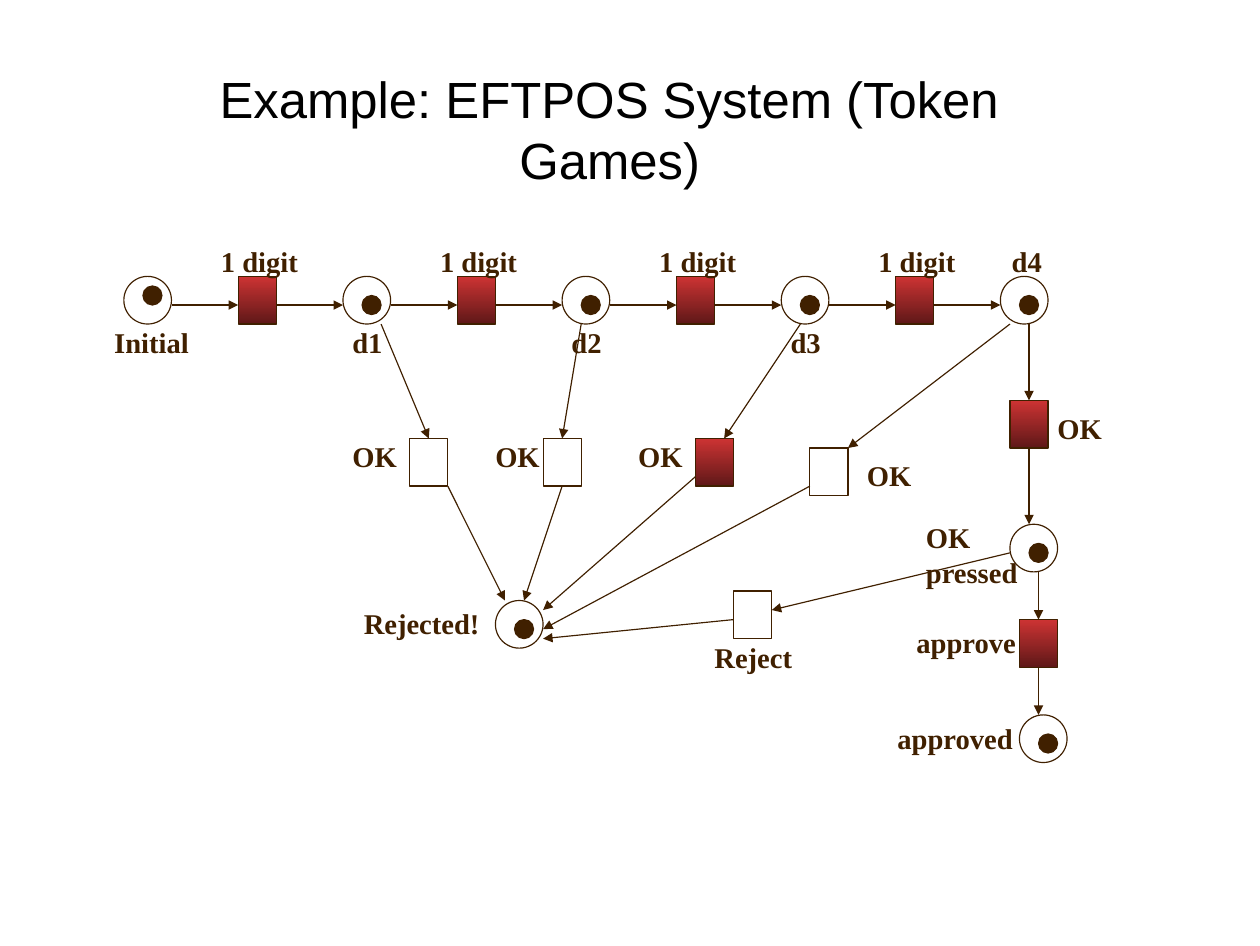
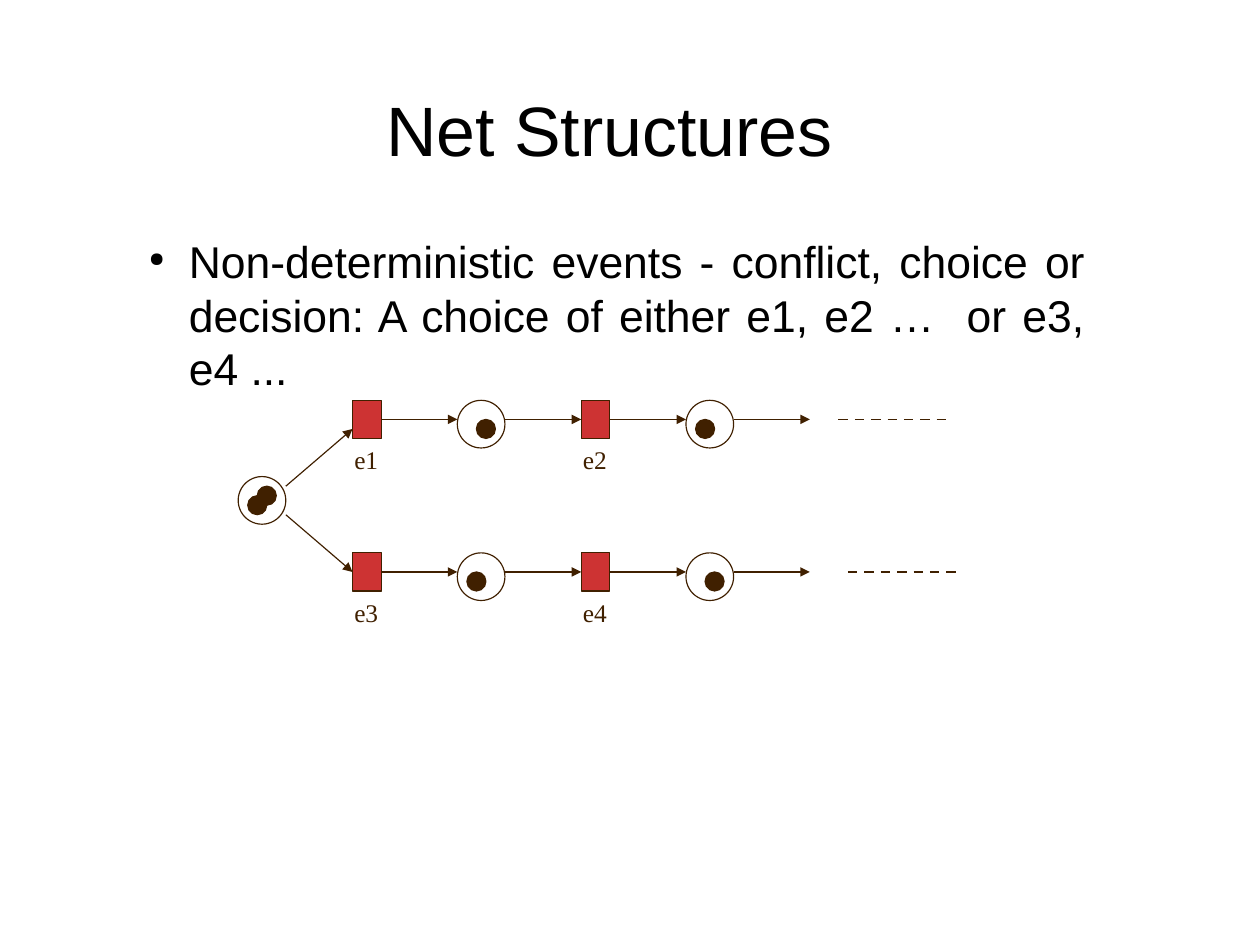
"""Build two slides about Petri nets: an EFTPOS token game and a net with a choice."""
from dataclasses import dataclass, field

from lxml.etree import SubElement
from pptx import Presentation
from pptx.dml.color import RGBColor
from pptx.enum.shapes import MSO_CONNECTOR, MSO_SHAPE
from pptx.enum.text import MSO_ANCHOR, MSO_AUTO_SIZE, PP_ALIGN
from pptx.oxml.ns import qn
from pptx.util import Inches, Pt


@dataclass(frozen=True)
class Theme:
    ink: RGBColor = RGBColor.from_string("402000")
    text: RGBColor = RGBColor.from_string("000000")
    red: RGBColor = RGBColor.from_string("CD3333")
    dark_red: RGBColor = RGBColor.from_string("5F1818")
    heading_font: str = "Arial"
    label_font: str = "Times New Roman"
    body_size: int = 28
    line: float = 0.75
    cell: int = Inches(1) // 12
    place: int = 5
    token: int = 2


@dataclass
class Net:
    title: str
    title_size: int
    box_size: tuple
    label_size: int
    label_bold: bool
    label_height: float
    label_widths: dict
    gradient: bool
    red_boxes: list
    empty_boxes: list
    places: list
    arrows: list
    labels: list
    dashes: list = field(default_factory=list)
    body: str = ""


theme = Theme()
step = 23
digits = range(4)
centred = (2, 2)
left_token = (1, 2)

eftpos = Net(
    title="Example: EFTPOS System (Token Games)",
    title_size=32,
    box_size=(4, 5),
    label_size=18,
    label_bold=True,
    label_height=4.8,
    label_widths={
        "Initial": 10.2, "1 digit": 10.4, "d1": 5.5, "d2": 5.5, "d3": 5.5,
        "d4": 5.5, "OK": 7.1, "OK\npressed": 12, "approve": 12.8,
        "approved": 14.5, "Reject": 10.5, "Rejected!": 14.5,
    },
    gradient=True,
    red_boxes=[(25 + step * i, 29) for i in digits]
    + [(73, 46), (106, 42), (107, 65)],
    empty_boxes=[(43, 46), (57, 46), (85, 47), (77, 62)],
    places=[(13, 29, [(2, 1)])]
    + [(36 + step * i, 29, [centred]) for i in digits]
    + [(106, 55, [centred]), (107, 75, [centred]), (52, 63, [centred])],
    arrows=[
        (start + step * i, 32, start + step * i + 7, 32)
        for i in digits for start in (18, 29)
    ] + [
        (108, 34, 108, 42), (108, 47, 108, 55),
        (109, 60, 109, 65), (109, 70, 109, 75),
        (40, 34, 45, 46), (47, 51, 53, 63),
        (61, 34, 59, 46), (59, 51, 55, 63),
        (84, 34, 76, 46), (73, 50, 57, 64),
        (106, 34, 89, 47), (85, 51, 57, 66),
        (106, 58, 81, 64), (77, 65, 57, 67),
    ],
    labels=[("1 digit", 22 + step * i, 25) for i in digits]
    + [(f"d{i + 1}", 35.8 + step * i, 33.5) for i in range(3)]
    + [("OK", 35.8 + 15 * i, 45.5) for i in range(3)]
    + [
        ("Initial", 10.8, 33.5), ("d4", 105, 25), ("OK", 109.8, 42.5),
        ("OK", 89.8, 47.5), ("OK\npressed", 96, 54), ("approve", 95, 65),
        ("approved", 93, 75), ("Reject", 73.8, 66.5), ("Rejected!", 37, 63),
    ],
)

choice = Net(
    title="Net Structures",
    title_size=44,
    box_size=(3, 4),
    label_size=16,
    label_bold=False,
    label_height=4.4,
    label_widths={f"e{i}": 4.9 for i in range(1, 5)},
    gradient=False,
    red_boxes=[(column, row) for row in (42, 58) for column in (37, 61)],
    empty_boxes=[],
    places=[
        (25, 50, [left_token, (2, 1)]),
        (48, 42, [centred]), (72, 42, [left_token]),
        (48, 58, [left_token]), (72, 58, [centred]),
    ],
    arrows=[(30, 51, 37, 45), (30, 54, 37, 60)] + [
        (start, row, start + 8, row)
        for row in (44, 60) for start in (40, 53, 64, 77)
    ],
    labels=[
        (f"e{1 + i + 2 * j}", 36 + 24 * i, 46 + 16 * j)
        for j in range(2) for i in range(2)
    ],
    dashes=[(88, 44, 100, 44), (89, 60, 101, 60)],
    body="Non-deterministic events - conflict, choice or decision: "
    "A choice of either e1, e2 …  or e3, e4 ...",
)


def add_text(slide, text, box, size, font, color, bold=False, wrap=True):
    """Add a text box on the grid, one paragraph a line, and return its frame."""
    frame = slide.shapes.add_textbox(*(round(v * theme.cell) for v in box)).text_frame
    frame.auto_size = MSO_AUTO_SIZE.NONE
    frame.word_wrap = wrap
    for index, line in enumerate(text.split("\n")):
        paragraph = frame.add_paragraph() if index else frame.paragraphs[0]
        run = paragraph.add_run()
        run.text = line
        run.font.name = font
        run.font.size = Pt(size)
        run.font.bold = bold
        run.font.color.rgb = color
    return frame


def add_node(slide, kind, column, row, width, height):
    """Add an outlined, unfilled shape on the grid."""
    shape = slide.shapes.add_shape(
        kind, *(value * theme.cell for value in (column, row, width, height)))
    shape.shadow.inherit = False
    shape.fill.background()
    shape.line.color.rgb = theme.ink
    shape.line.width = Pt(theme.line)
    return shape


presentation = Presentation()
presentation.slide_width = Inches(11.02)
presentation.slide_height = Inches(8.27)

for net in (eftpos, choice):
    slide = presentation.slides.add_slide(presentation.slide_layouts[6])

    title = add_text(slide, net.title, (13, 6, 102, 15), net.title_size,
                     theme.heading_font, theme.text)
    title.vertical_anchor = MSO_ANCHOR.MIDDLE
    title.paragraphs[0].alignment = PP_ALIGN.CENTER

    if net.body:
        body = add_text(slide, net.body, (13, 24, 102, 54), theme.body_size,
                        theme.heading_font, theme.text)
        paragraph = body.paragraphs[0]
        paragraph.alignment = PP_ALIGN.JUSTIFY
        paragraph.space_before = Pt(7)
        properties = paragraph._p.get_or_add_pPr()
        properties.set("marL", str(Inches(0.47)))
        properties.set("indent", str(Inches(-0.35)))
        bullet_color = SubElement(properties, qn("a:buClr"))
        SubElement(bullet_color, qn("a:srgbClr"), val=str(theme.text))
        SubElement(properties, qn("a:buSzPct"), val="45000")
        SubElement(properties, qn("a:buChar"), char="●")

    side_middles = {}
    width, height = net.box_size
    for column, row in net.red_boxes + net.empty_boxes:
        box = add_node(slide, MSO_SHAPE.RECTANGLE, column, row, width, height)
        if (column, row) in net.red_boxes and net.gradient:
            box.fill.gradient()
            box.fill.gradient_angle = 270
            for stop, color in zip(box.fill.gradient_stops, (theme.red, theme.dark_red)):
                stop.color.rgb = color
        elif (column, row) in net.red_boxes:
            box.fill.solid()
            box.fill.fore_color.rgb = theme.red
        middle_column, middle_row = column + width / 2, row + height / 2
        side_middles[middle_column, row] = (box, 0)
        side_middles[column, middle_row] = (box, 1)
        side_middles[middle_column, row + height] = (box, 2)
        side_middles[column + width, middle_row] = (box, 3)

    for column, row, tokens in net.places:
        add_node(slide, MSO_SHAPE.OVAL, column, row, theme.place, theme.place)
        for right, down in tokens:
            token = add_node(slide, MSO_SHAPE.OVAL, column + right, row + down,
                             theme.token, theme.token)
            token.fill.solid()
            token.fill.fore_color.rgb = theme.ink

    for ends in net.arrows + net.dashes:
        connector = slide.shapes.add_connector(
            MSO_CONNECTOR.STRAIGHT, *(value * theme.cell for value in ends))
        connector.line.color.rgb = theme.ink
        connector.line.width = Pt(theme.line)
        line = connector.line._get_or_add_ln()
        if ends in net.dashes:
            dash = SubElement(line, qn("a:custDash"))
            SubElement(dash, qn("a:ds"), d="800000", sp="600000")
        else:
            SubElement(line, qn("a:tailEnd"), type="triangle")
        SubElement(connector._element.spPr, qn("a:effectLst"))
        if ends[:2] in side_middles:
            connector.begin_connect(*side_middles[ends[:2]])
        if ends[2:] in side_middles:
            connector.end_connect(*side_middles[ends[2:]])

    for text, column, row in net.labels:
        lines = text.count("\n") + 1
        label_height = net.label_height + 3.6 * (lines - 1)
        add_text(slide, text, (column, row, net.label_widths[text], label_height),
                 net.label_size, theme.label_font, theme.ink, net.label_bold, wrap=False)

presentation.save("out.pptx")
